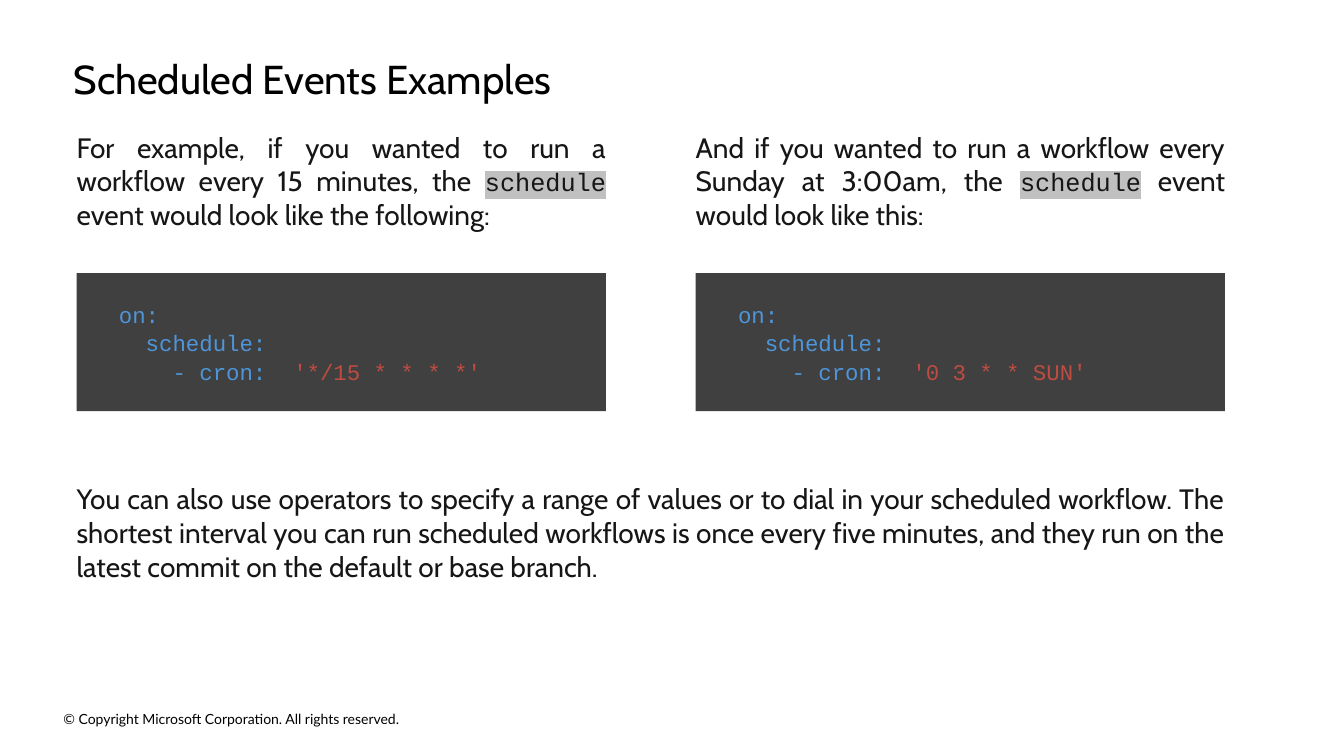
from lxml.etree import SubElement
from pptx import Presentation
from pptx.dml.color import RGBColor
from pptx.enum.shapes import MSO_SHAPE
from pptx.enum.text import MSO_ANCHOR, MSO_AUTO_SIZE, PP_ALIGN
from pptx.oxml.ns import qn
from pptx.util import Inches, Pt

COLORS = {"black": "000000", "body": "161616", "panel": "404040",
          "key": "4E95D9", "value": "BE4C41", "highlight": "C0C0C0"}
COLUMN_LEFT, COLUMN_STEP, COLUMN_WIDTH = 0.76, 6.14, 5.25
TEXT_HEIGHT = 0.54
PANEL_TOP, PANEL_HEIGHT, CODE_INDENT = 2.71, 1.37, 0.42

BODY = {"size": 20, "font": "Cabin", "color": "body"}
INLINE_CODE = {"size": 18, "font": "Courier New", "color": "body",
               "highlight": "highlight"}
KEY = {"size": 16, "font": "Courier New", "color": "key"}
VALUE = {**KEY, "color": "value"}

EXAMPLES = [
    ("For example, if you wanted to run a workflow every 15 minutes, the ",
     " event would look like the following:", "'*/15 * * * *'"),
    ("And if you wanted to run a workflow every Sunday at 3:00am, the ",
     " event would look like this:", "'0 3 * * SUN'"),
]


def rgb(name):
    return RGBColor.from_string(COLORS[name])


def add_run(paragraph, text, *, size, font, color, highlight=None):
    run = paragraph.add_run()
    run.text = text
    run.font.size = Pt(size)
    run.font.color.rgb = rgb(color)
    if highlight:
        # The schema wants the highlight between the fill and the typeface.
        mark = SubElement(run.font._element, qn("a:highlight"))
        SubElement(mark, qn("a:srgbClr"), val=COLORS[highlight])
    run.font.name = font


def fill_text(shape, paragraphs, *, align=PP_ALIGN.LEFT, line_spacing=None,
              space_after=0, margin=0):
    """Write paragraphs, each a list of (text, run format) pairs."""
    frame = shape.text_frame
    frame.word_wrap = True
    frame.auto_size = MSO_AUTO_SIZE.NONE
    frame.vertical_anchor = MSO_ANCHOR.MIDDLE
    frame.margin_top = frame.margin_bottom = 0
    frame.margin_left = frame.margin_right = Inches(margin)
    for index, runs in enumerate(paragraphs):
        paragraph = frame.add_paragraph() if index else frame.paragraphs[0]
        paragraph.alignment = align
        paragraph.space_after = Pt(space_after)
        if line_spacing:
            paragraph.line_spacing = line_spacing
        for text, run_format in runs:
            add_run(paragraph, text, **run_format)


def add_text(slide, left, top, width, height, paragraphs, **text_format):
    box = slide.shapes.add_textbox(*map(Inches, (left, top, width, height)))
    fill_text(box, paragraphs, **text_format)


def add_title(slide, text):
    title = slide.shapes.title
    title.left, title.top, title.width, title.height = map(
        Inches, (0.63, 0.54, 10.64, 0.54))
    fill_text(title, [[(text, {"size": 28.8, "font": "Cabin", "color": "black"})]],
              line_spacing=0.9, margin=0.1)


def add_code_panel(slide, left, cron):
    panel = slide.shapes.add_shape(MSO_SHAPE.RECTANGLE, *map(
        Inches, (left, PANEL_TOP, COLUMN_WIDTH, PANEL_HEIGHT)))
    panel.shadow.inherit = False
    panel.fill.solid()
    panel.fill.fore_color.rgb = rgb("panel")
    panel.line.fill.background()
    code = [[("on:", KEY)], [("  schedule:", KEY)],
            [("    - cron:  ", KEY), (cron, VALUE)]]
    add_text(slide, left + CODE_INDENT, PANEL_TOP, COLUMN_WIDTH - 2 * CODE_INDENT,
             PANEL_HEIGHT, code, line_spacing=1.06)


def add_example(slide, column, before, after, cron):
    left = COLUMN_LEFT + column * COLUMN_STEP
    sentence = [(before, BODY), ("schedule", INLINE_CODE), (after, BODY)]
    add_text(slide, left, 1.52, COLUMN_WIDTH, TEXT_HEIGHT, [sentence],
             align=PP_ALIGN.JUSTIFY, space_after=6)
    add_code_panel(slide, left, cron)


def main():
    presentation = Presentation()
    presentation.slide_width = Inches(13.33)
    presentation.slide_height = Inches(7.5)
    slide = presentation.slides.add_slide(presentation.slide_layouts[5])

    add_title(slide, "Scheduled Events Examples")
    for column, example in enumerate(EXAMPLES):
        add_example(slide, column, *example)
    add_text(slide, COLUMN_LEFT, 5.01, COLUMN_STEP + COLUMN_WIDTH, TEXT_HEIGHT, [[(
        "You can also use operators to specify a range of values or to dial in "
        "your scheduled workflow. The shortest interval you can run scheduled "
        "workflows is once every five minutes, and they run on the latest commit "
        "on the default or base branch.", BODY)]], align=PP_ALIGN.JUSTIFY)
    add_text(slide, 0.63, 7.02, 4.54, 0.22, [[(
        "© Copyright Microsoft Corporation. All rights reserved.",
        {"size": 10, "font": "Lato", "color": "black"})]])

    presentation.save("out.pptx")


if __name__ == "__main__":
    main()
